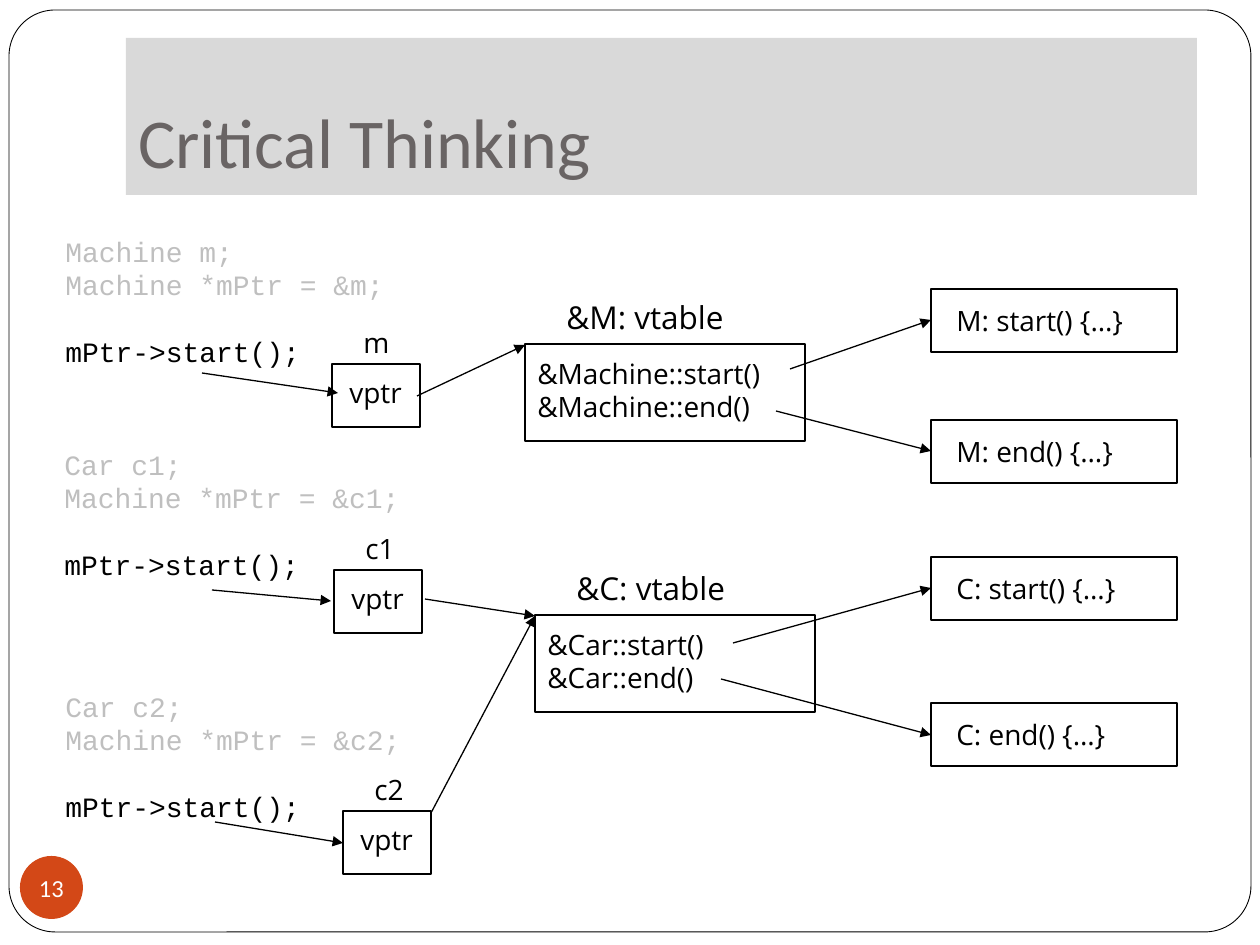
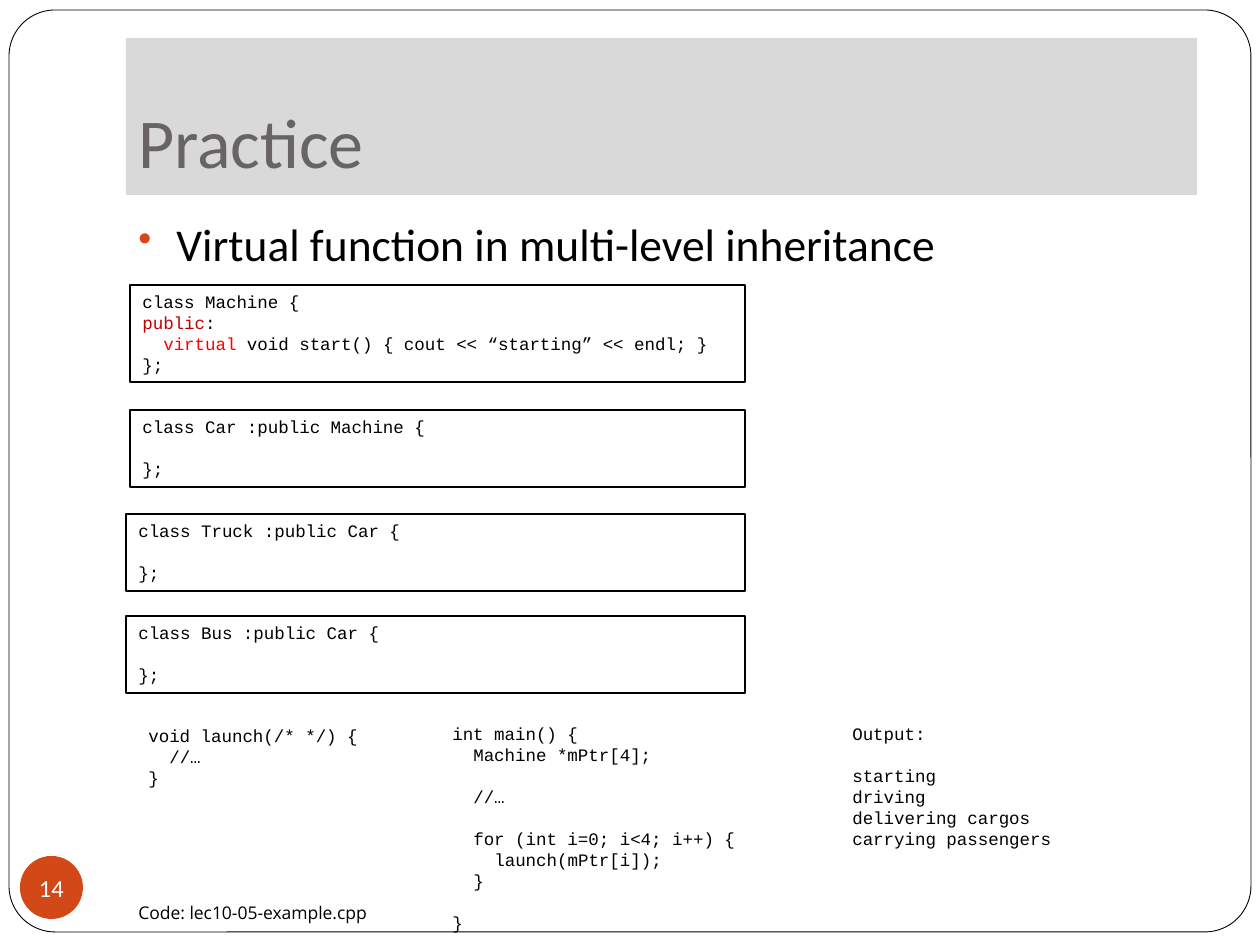
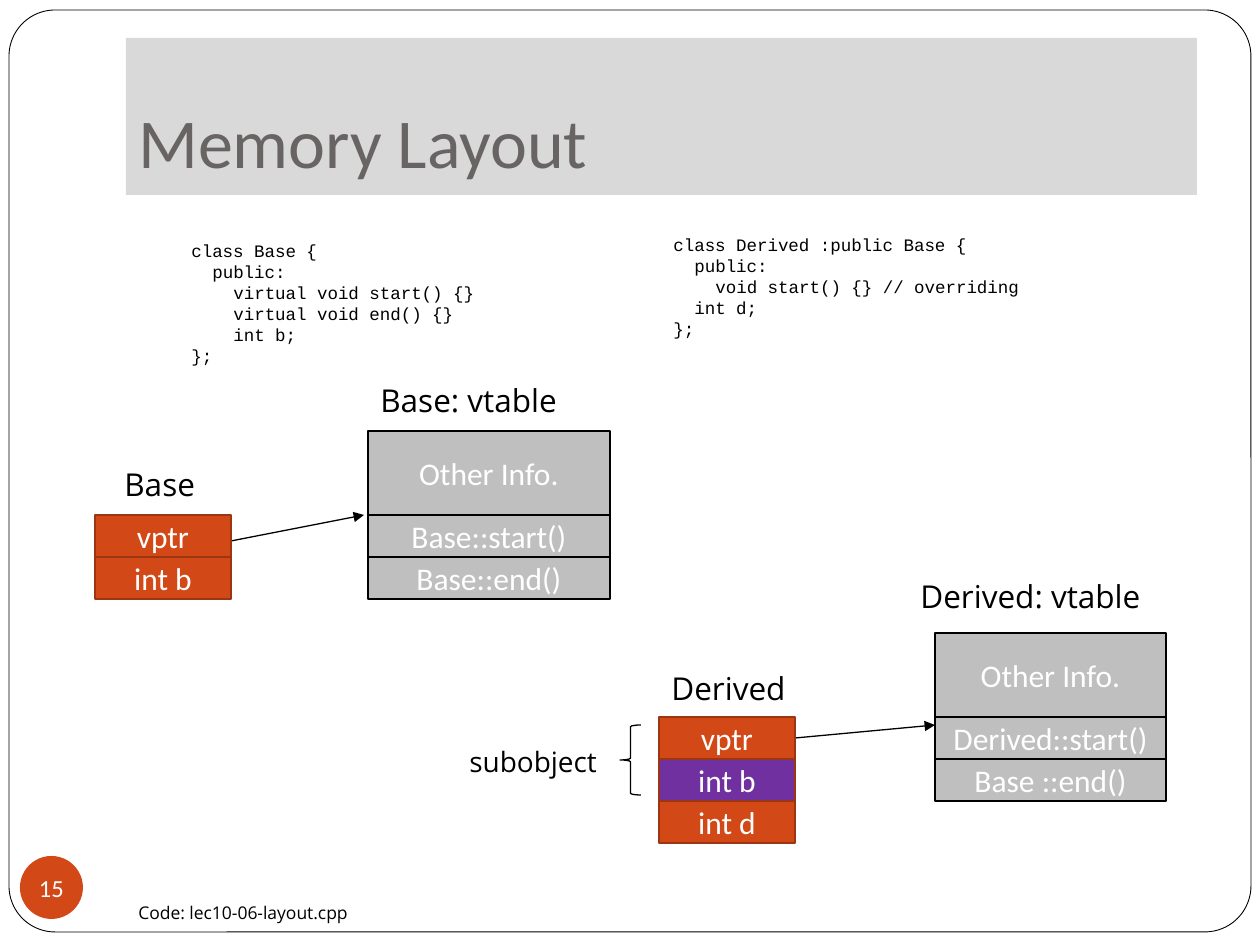
from dataclasses import dataclass
from typing import Optional

from lxml import etree
from pptx import Presentation
from pptx.dml.color import RGBColor
from pptx.enum.shapes import MSO_CONNECTOR, MSO_SHAPE
from pptx.enum.text import MSO_ANCHOR, MSO_AUTO_SIZE, PP_ALIGN
from pptx.oxml.ns import qn
from pptx.util import Emu, Pt

# ---- Shared look ----
PX_PER_INCH = 126
BLACK, WHITE = "000000", "FFFFFF"
BAND, TITLE_INK = "D9D9D9", "696464"
ACCENT, ACCENT_EDGE, PURPLE = "D34817", "9C3511", "7030A0"
SILVER, RED, DARK_RED = "BFBFBF", "FF0000", "C00000"
SANS, HEAD, MONO = "Open Sans", "Calibri", "Courier New"
MONO_ADVANCE = 0.6   # character width relative to the font size
MONO_LEADING = 1.2   # line height relative to the font size


@dataclass(frozen=True)
class Rect:
    x: int
    y: int
    w: int
    h: int


@dataclass(frozen=True)
class Style:
    font: str = SANS
    size: float = 16
    color: str = BLACK


@dataclass(frozen=True)
class Stack:
    """A labelled column of memory cells."""
    label: str
    label_at: Rect
    x: int
    y: int
    w: int
    edge: str
    cells: tuple  # (text, height in rows, fill)


CODE = Style(MONO, 10)
CAPTION = Style(size=18)
CELL = Style(HEAD, 18, WHITE)


def px(value: float) -> Emu:
    return Emu(round(value * 914400 / PX_PER_INCH))


def rgb(value: str) -> RGBColor:
    return RGBColor.from_string(value)


# ---- Drawing helpers ----
def add_run(paragraph, text: str, style: Style, color: Optional[str] = None) -> None:
    run = paragraph.add_run()
    run.text = text
    run.font.name, run.font.size = style.font, Pt(style.size)
    run.font.color.rgb = rgb(color or style.color)


def add_box(slide, at: Rect, fill: Optional[str] = None, line: Optional[str] = BLACK,
            width: float = 1, kind=MSO_SHAPE.RECTANGLE):
    shape = slide.shapes.add_shape(kind, px(at.x), px(at.y), px(at.w), px(at.h))
    shape.shadow.inherit = False
    if fill:
        shape.fill.solid()
        shape.fill.fore_color.rgb = rgb(fill)
    else:
        shape.fill.background()
    if line:
        shape.line.color.rgb = rgb(line)
        shape.line.width = Pt(width)
    else:
        shape.line.fill.background()
    return shape


def write(shape, text: str, style: Style, anchor=MSO_ANCHOR.MIDDLE,
          align=PP_ALIGN.CENTER, wrap: bool = True) -> None:
    frame = shape.text_frame
    frame.word_wrap, frame.vertical_anchor = wrap, anchor
    for i, line in enumerate(text.split("\n")):
        paragraph = frame.paragraphs[0] if i == 0 else frame.add_paragraph()
        paragraph.alignment = align
        add_run(paragraph, line, style)


def add_textbox(slide, at: Rect):
    return slide.shapes.add_textbox(px(at.x), px(at.y), px(at.w), px(at.h))


def add_label(slide, at: Rect, text: str, style: Style = Style()) -> None:
    box = add_textbox(slide, at)
    write(box, text, style, MSO_ANCHOR.TOP, PP_ALIGN.LEFT, wrap=False)
    box.text_frame.auto_size = MSO_AUTO_SIZE.SHAPE_TO_FIT_TEXT


def write_code(shape, source: str, style: Style = CODE,
               line_colors: Optional[dict] = None,
               keywords: Optional[dict] = None) -> None:
    """Leading spaces become indents, empty lines become space before."""
    frame = shape.text_frame
    frame.word_wrap, frame.vertical_anchor = True, MSO_ANCHOR.TOP
    frame.auto_size = MSO_AUTO_SIZE.SHAPE_TO_FIT_TEXT
    paragraph, gap = frame.paragraphs[0], 0
    for i, line in enumerate(source.split("\n")):
        text = line.strip()
        if not text:
            gap += 1
            continue
        if i:
            paragraph = frame.add_paragraph()
        paragraph.alignment = PP_ALIGN.LEFT
        if gap:
            paragraph.space_before = Pt(gap * style.size * MONO_LEADING)
            gap = 0
        indent = len(line) - len(line.lstrip())
        if indent:
            props = paragraph._p.get_or_add_pPr()
            props.set("marL", str(Pt(indent * style.size * MONO_ADVANCE)))
            props.set("indent", "0")
        for word, color in (keywords or {}).items():
            if text.startswith(word):
                add_run(paragraph, word, style, color)
                text = text[len(word):]
        add_run(paragraph, text, style, (line_colors or {}).get(i))


def add_arrow(slide, x1: int, y1: int, x2: int, y2: int) -> None:
    line = slide.shapes.add_connector(MSO_CONNECTOR.STRAIGHT, px(x1), px(y1), px(x2), px(y2))
    line.line.color.rgb = rgb(BLACK)
    line.line.width = Pt(0.75)
    etree.SubElement(line.line._get_or_add_ln(), qn("a:tailEnd"), type="triangle")
    etree.SubElement(line._element.spPr, qn("a:effectLst"))


def add_stack(slide, stack: Stack, row: int = 42) -> None:
    y = stack.y
    for text, rows, fill in stack.cells:
        cell = add_box(slide, Rect(stack.x, y, stack.w, rows * row), fill, stack.edge)
        write(cell, text, CELL)
        y += rows * row
    add_label(slide, stack.label_at, stack.label, CAPTION)


def add_bullet(slide, at: Rect, text: str) -> None:
    box = add_textbox(slide, at)
    write(box, text, Style(HEAD, 26), MSO_ANCHOR.TOP, PP_ALIGN.LEFT)
    paragraph = box.text_frame.paragraphs[0]
    paragraph.space_before = Pt(5.8)
    props = paragraph._p.get_or_add_pPr()
    props.set("marL", str(px(38)))
    props.set("indent", str(-px(38)))
    color = etree.SubElement(props, qn("a:buClr"))
    etree.SubElement(color, qn("a:srgbClr"), val=ACCENT)
    etree.SubElement(props, qn("a:buSzPct"), val="85000")
    etree.SubElement(props, qn("a:buChar"), char="•")


def add_footer(slide, text: str, width: int) -> None:
    add_label(slide, Rect(126, 896, width, 34), text, Style(size=10))


def new_slide(deck, title: str, number: int):
    """Blank slide with the rounded frame, title band and number badge."""
    slide = deck.slides.add_slide(deck.slide_layouts[6])
    slide.background.fill.solid()
    slide.background.fill.fore_color.rgb = rgb(WHITE)
    frame = add_box(slide, Rect(9, 10, 1242, 922), WHITE, width=0.5,
                    kind=MSO_SHAPE.ROUNDED_RECTANGLE)
    frame.adjustments[0] = 0.05
    band = add_box(slide, Rect(126, 38, 1071, 157), BAND, None)
    write(band, title, Style(HEAD, 40, TITLE_INK), MSO_ANCHOR.BOTTOM, PP_ALIGN.LEFT)
    band.text_frame.margin_bottom = px(13)
    badge = add_box(slide, Rect(20, 856, 63, 63), ACCENT, None, kind=MSO_SHAPE.OVAL)
    write(badge, str(number), Style(HEAD, 14, WHITE), wrap=False)
    text = badge.text_frame
    text.margin_left = text.margin_right = text.margin_top = text.margin_bottom = 0
    return slide


# ---- Slide: virtual calls through vtables ----
def critical_thinking(deck) -> None:
    slide = new_slide(deck, "Critical Thinking", 13)

    # Declarations in grey, the call in black
    for kind, name, x, y in (("Machine", "m", 53, 228), ("Car", "c1", 52, 441),
                             ("Car", "c2", 53, 683)):
        source = f"{kind} {name};\nMachine *mPtr = &{name};\n\nmPtr->start();"
        write_code(add_textbox(slide, Rect(x, y, 393, 149)), source,
                   Style(MONO, 16, SILVER), {3: BLACK})

    # Function bodies
    for text, y, width in (("M: start() {…}", 289, 233), ("M: end() {…}", 420, 219),
                           ("C: start() {…}", 557, 233), ("C: end() {…}", 703, 214)):
        add_box(slide, Rect(931, y, 246, 63))
        add_label(slide, Rect(944, y + 8, width, 47), text)

    # Virtual tables
    for kind, x, y, width in (("Machine", 525, 344, 280), ("Car", 535, 615, 212)):
        add_box(slide, Rect(x, y, 280, 97))
        add_label(slide, Rect(x, y + 6, width, 81), f"&{kind}::start()\n&{kind}::end()")
        add_label(slide, Rect(x + 29, y - 52, 196, 50), f"&{kind[0]}: vtable", CAPTION)

    # Objects holding a table pointer
    for name, x, y, width in (("m", 332, 364, 53), ("c1", 334, 570, 58), ("c2", 343, 811, 58)):
        add_box(slide, Rect(x, y, 88, 63))
        add_label(slide, Rect(x + 5, y + 5, 83, 47), "vptr")
        add_label(slide, Rect(x + 19, y - 45, width, 47), name)

    for ends in (
        # table entry to function body
        (790, 369, 931, 320), (776, 411, 931, 451), (733, 643, 931, 588), (721, 679, 931, 735),
        # object to table
        (417, 396, 525, 345), (425, 599, 535, 616), (431, 813, 535, 616),
        # call to object
        (202, 373, 338, 393), (212, 590, 331, 601), (215, 822, 343, 843),
    ):
        add_arrow(slide, *ends)


# ---- Slide: multi-level inheritance exercise ----
MACHINE = """class Machine {
public:
  virtual void start() { cout << “starting” << endl; }
};"""
LAUNCH = """void launch(/* */) {
  //…
}"""
MAIN = """int main() {
  Machine *mPtr[4];

  //…

  for (int i=0; i<4; i++) {
    launch(mPtr[i]);
  }

}"""
OUTPUT = """Output:

starting
driving
delivering cargos
carrying passengers"""


def practice(deck) -> None:
    slide = new_slide(deck, "Practice", 14)
    add_bullet(slide, Rect(126, 210, 1071, 620), "Virtual function in multi-level inheritance")
    add_footer(slide, "Code: lec10-05-example.cpp", 284)

    # Class definitions
    for source, at in (
        (MACHINE, Rect(130, 285, 615, 97)),
        ("class Car :public Machine {\n\n};", Rect(130, 410, 615, 77)),
        ("class Truck :public Car {\n\n};", Rect(126, 514, 619, 77)),
        ("class Bus :public Car {\n\n};", Rect(126, 616, 619, 77)),
    ):
        write_code(add_box(slide, at, width=0.75), source,
                   keywords={"public": DARK_RED, "virtual": RED})

    # Program and its output
    for source, at in ((LAUNCH, Rect(136, 719, 325, 77)), (MAIN, Rect(440, 717, 325, 224)),
                       (OUTPUT, Rect(840, 717, 325, 140))):
        write_code(add_textbox(slide, at), source)


# ---- Slide: object and vtable layout ----
BASE = """class Base {
  public:
    virtual void start() {}
    virtual void end() {}
    int b;
};"""
DERIVED = """class Derived :public Base {
  public:
    void start() {} // overriding
  int d;
};"""
INFO = ("Other Info.", 2, SILVER)
VPTR = ("vptr", 1, ACCENT)
STACKS = (
    Stack("Base: vtable", Rect(368, 375, 226, 50), 368, 431, 242, BLACK,
          (INFO, ("Base::start()", 1, SILVER), ("Base::end()", 1, SILVER))),
    Stack("Derived: vtable", Rect(908, 571, 272, 50), 935, 633, 231, BLACK,
          (INFO, ("Derived::start()", 1, SILVER), ("Base ::end()", 1, SILVER))),
    Stack("Base", Rect(112, 459, 102, 50), 95, 515, 136, ACCENT_EDGE,
          (VPTR, ("int b", 1, ACCENT))),
    Stack("Derived", Rect(659, 663, 149, 50), 659, 717, 136, ACCENT_EDGE,
          (VPTR, ("int b", 1, PURPLE), ("int d", 1, ACCENT))),
)


def memory_layout(deck) -> None:
    slide = new_slide(deck, "Memory Layout", 15)
    write_code(add_textbox(slide, Rect(179, 234, 588, 140)), BASE)
    write_code(add_textbox(slide, Rect(661, 228, 588, 118)), DERIVED)

    # Pointers from objects to their tables
    add_arrow(slide, 231, 541, 364, 515)
    add_arrow(slide, 795, 738, 935, 725)
    for stack in STACKS:
        add_stack(slide, stack)

    # Inherited part of the derived object
    add_box(slide, Rect(620, 725, 21, 70), width=0.75, kind=MSO_SHAPE.LEFT_BRACE)
    add_label(slide, Rect(457, 738, 163, 47), "subobject")
    add_footer(slide, "Code: lec10-06-layout.cpp", 263)


def main() -> None:
    deck = Presentation()
    deck.slide_width, deck.slide_height = px(1260), px(945)
    critical_thinking(deck)
    practice(deck)
    memory_layout(deck)
    deck.save("out.pptx")


main()
